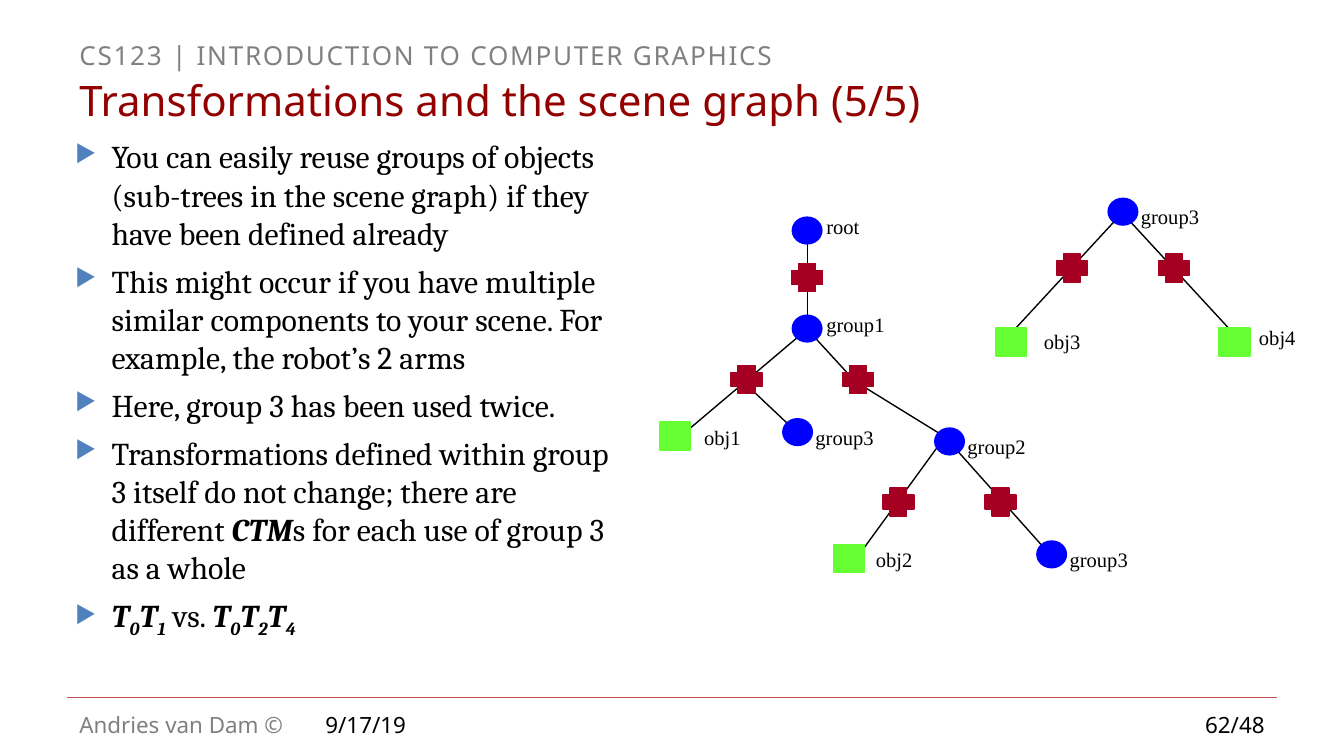
from lxml.etree import SubElement
from pptx import Presentation
from pptx.dml.color import RGBColor
from pptx.enum.shapes import MSO_CONNECTOR as Connector, MSO_SHAPE as Shape
from pptx.enum.text import MSO_ANCHOR as Anchor, PP_ALIGN as Align
from pptx.oxml.ns import qn
from pptx.util import Pt

COLORS = {
    "black": "000000", "white": "FFFFFF", "gray": "808080", "title": "920000",
    "rule": "C0504D", "bullet": "4F81BD", "group": "0000FF",
    "transform": "A50021", "object": "66FF33",
}
NODE_SHAPES = {"group": Shape.OVAL, "transform": Shape.CROSS, "object": Shape.RECTANGLE}
NODE_W, NODE_H = 16.6, 15.1
SLIDE_INSETS = (6.5, 2.9)
LABEL_INSETS = (7.2, 3.6)

SCENE_EDGES = [
    (156.2, 134, 112.2, 194.5), (156.2, 134, 210.2, 194.5),
    (107.2, 103.8, 156.2, 134), (47.4, 103.8, 74.1, 129),
    (79.8, 73.5, 112.2, 108.8), (79.8, 78.6, 14.3, 134),
    (82.6, 26, 82.6, 75.7),
]
SCENE_NODES = [
    ("group", 82.4, 23.5), ("group", 82.4, 76), ("group", 77.3, 131.5),
    ("group", 158.7, 136.5), ("group", 213.4, 197),
    ("transform", 82.4, 48.7), ("transform", 50, 103.4), ("transform", 109.7, 103.4),
    ("transform", 131.3, 168.9), ("transform", 186, 168.9),
    ("object", 11.8, 133.6), ("object", 104.7, 199.2),
]
SCENE_LABELS = [
    ("root", 85.6, 10.9), ("group1", 85.6, 63.4), ("obj1", 20.1, 123.9),
    ("group3", 79.8, 123.9), ("group2", 161.2, 129), ("group3", 215.9, 189.4),
    ("obj2", 112.2, 189.4),
]
REUSED_EDGES = [(74.1, 10.9, 14.3, 75.7), (68.3, 10.9, 128.1, 75.7)]
REUSED_NODES = [
    ("group", 71.6, 13.4), ("transform", 98.9, 43.6), ("transform", 44.2, 43.6),
    ("object", 131.3, 83.2), ("object", 11.8, 83.2),
]
REUSED_LABELS = [("group3", 74.1, 5.8), ("obj3", 22.2, 72.8), ("obj4", 137.4, 70.6)]

POINTS = [
    [("You can easily reuse groups of objects (sub-trees in the scene graph) "
      "if they have been defined already", "")],
    [("This might occur if you have multiple similar components to your scene. "
      "For example, the robot’s 2 arms", "")],
    [("Here, group 3 has been used twice.", "")],
    [("Transformations defined within group 3 itself do not change; "
      "there are different ", ""), ("CTM", "strong"),
     ("s for each use of group 3 as a whole", "")],
    [("T", "strong"), ("0", "sub"), ("T", "strong"), ("1", "sub"), (" vs. ", ""),
     ("T", "strong"), ("0", "sub"), ("T", "strong"), ("2", "sub"),
     ("T", "strong"), ("4", "sub")],
]


def rgb(name):
    return RGBColor.from_string(COLORS[name])


def add_run(paragraph, text, size, face, color):
    run = paragraph.add_run()
    run.text = text
    run.font.size = Pt(size)
    run.font.name = face
    run.font.color.rgb = rgb(color)
    return run


def add_frame(slide, box, insets=SLIDE_INSETS, wrap=True):
    frame = slide.shapes.add_textbox(*map(Pt, box)).text_frame
    frame.word_wrap = wrap
    frame.margin_left = frame.margin_right = Pt(insets[0])
    frame.margin_top = frame.margin_bottom = Pt(insets[1])
    return frame


def add_line(slide, start, end, color):
    line = slide.shapes.add_connector(Connector.STRAIGHT, *map(Pt, (*start, *end)))
    line.line.color.rgb = rgb(color)
    line.line.width = Pt(0.75)
    SubElement(line._element.spPr, qn("a:effectLst"))


def add_header(slide, box):
    left, top, width, height = box
    course = add_frame(slide, (left, top, width, 18)).paragraphs[0]
    run = add_run(course, "CS123 | INTRODUCTION TO COMPUTER GRAPHICS", 14, "Noto Sans", "gray")
    run.font._element.set("spc", "90")
    title = add_frame(slide, (left, top + 17.3, width, height - 17.3))
    title.vertical_anchor = Anchor.MIDDLE
    add_run(title.paragraphs[0], "Transformations and the scene graph (5/5)",
            22.5, "Noto Sans", "title")


def add_footer(slide, box):
    left, top, width, height = box
    add_line(slide, (left, top), (left + width, top), "rule")
    for text, offset, part_width, color, align in [
        ("Andries van Dam ©", 0, 138, "gray", Align.LEFT),
        ("9/17/19", 131.8, 414, "black", Align.LEFT),
        ("62/48", width - 95.8, 95.8, "black", Align.RIGHT),
    ]:
        frame = add_frame(slide, (left + offset, top + 4.3, part_width, height - 4.3))
        frame.paragraphs[0].alignment = align
        add_run(frame.paragraphs[0], text, 12, "Noto Sans", color)


def add_bullet(paragraph):
    properties = paragraph._p.get_or_add_pPr()
    properties.set("marL", str(Pt(19.5)))
    properties.set("indent", str(-Pt(19.5)))
    color = SubElement(properties, qn("a:buClr"))
    SubElement(color, qn("a:srgbClr"), val=COLORS["bullet"])
    SubElement(properties, qn("a:buSzPct"), val="76000")
    SubElement(properties, qn("a:buChar"), char="▶")


def add_points(slide, box):
    frame = add_frame(slide, box)
    for index, parts in enumerate(POINTS):
        paragraph = frame.add_paragraph() if index else frame.paragraphs[0]
        add_bullet(paragraph)
        if index:
            paragraph.space_before = Pt(5.3)
        for text, style in parts:
            font = add_run(paragraph, text, 17, "Cambria", "black").font
            if style:
                font.bold = font.italic = True
            if style == "sub":
                font._element.set("baseline", "-25000")


def add_tree(slide, box, edges, nodes, labels):
    left, top = box[:2]
    for x1, y1, x2, y2 in edges:
        add_line(slide, (left + x1, top + y1), (left + x2, top + y2), "black")
    for kind, x, y in nodes:
        corner = left + x - NODE_W / 2, top + y - NODE_H / 2
        node = slide.shapes.add_shape(NODE_SHAPES[kind], *map(Pt, (*corner, NODE_W, NODE_H)))
        node.shadow.inherit = False
        node.fill.solid()
        node.fill.fore_color.rgb = rgb(kind)
        if kind == "group":
            node.line.fill.background()
        else:
            node.line.color.rgb = rgb(kind)
            node.line.width = Pt(0.75)
    for text, x, y in labels:
        frame = add_frame(slide, (left + x, top + y, 54.7, 26.6), LABEL_INSETS)
        add_run(frame.paragraphs[0], text, 11, "Times New Roman", "black")


def main():
    deck = Presentation()
    deck.slide_width, deck.slide_height = Pt(720), Pt(405)
    slide = deck.slides.add_slide(deck.slide_layouts[6])
    slide.background.fill.solid()
    slide.background.fill.fore_color.rgb = rgb("white")
    add_header(slide, (36, 18, 648, 53.3))
    add_tree(slide, (530, 100, 190, 100), REUSED_EDGES, REUSED_NODES, REUSED_LABELS)
    add_tree(slide, (350, 100, 275, 216), SCENE_EDGES, SCENE_NODES, SCENE_LABELS)
    add_points(slide, (33.8, 70.6, 301.7, 334))
    add_footer(slide, (36, 373.7, 648, 23))
    deck.save("out.pptx")


if __name__ == "__main__":
    main()
